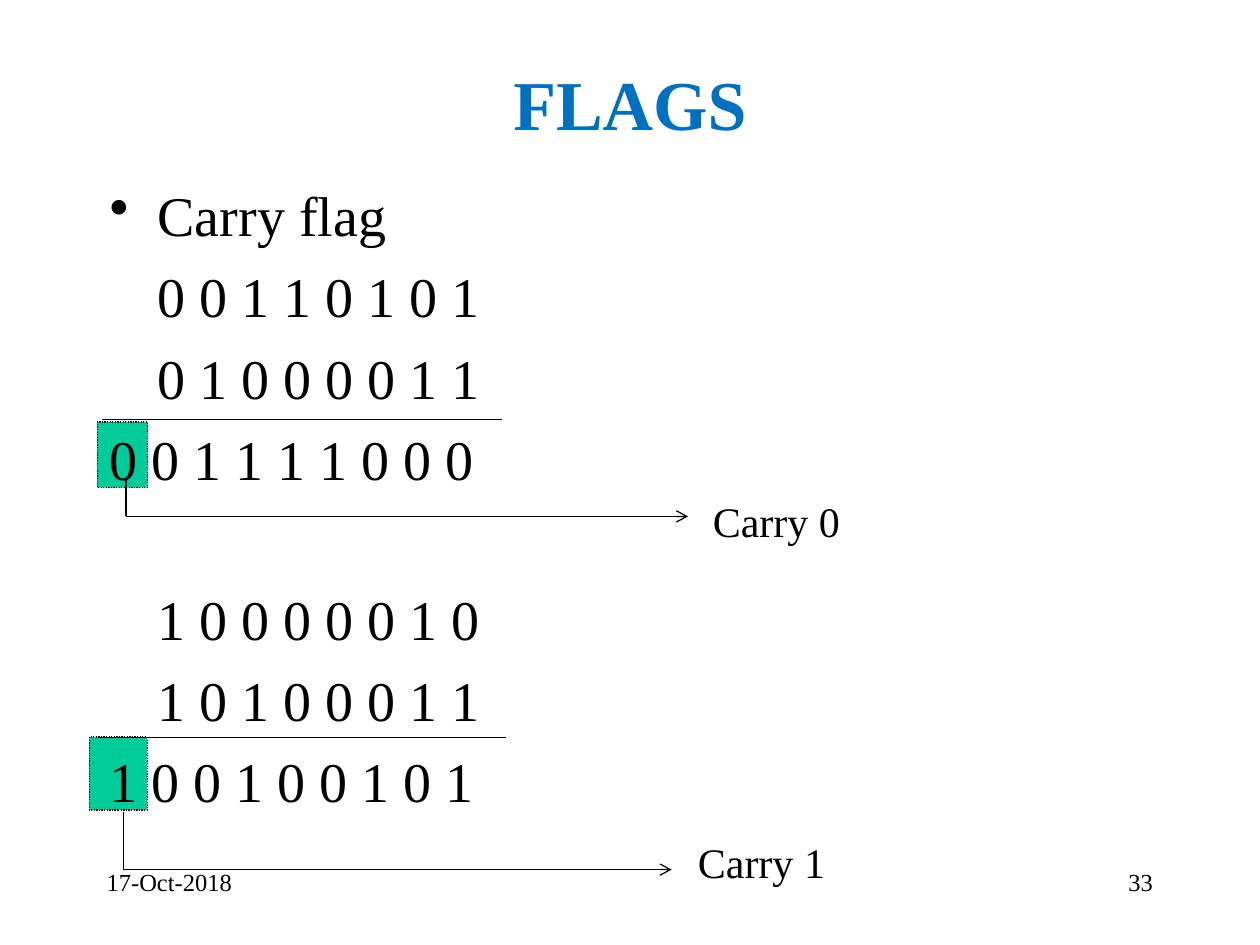
import pptx
import pptx.dml.color
import pptx.enum.dml
import pptx.enum.shapes
import pptx.enum.text
import pptx.oxml.ns
import pptx.util
from lxml import etree

Cm = pptx.util.Cm
Pt = pptx.util.Pt
RGBColor = pptx.dml.color.RGBColor
Align = pptx.enum.text.PP_ALIGN
Anchor = pptx.enum.text.MSO_ANCHOR
qn = pptx.oxml.ns.qn

BLACK = RGBColor(0x00, 0x00, 0x00)
BLUE = RGBColor(0x00, 0x70, 0xC0)
GREEN = RGBColor(0x00, 0xCC, 0x99)

HANGING = 0.97
ROW_GAP = 8
GROUP_GAP = 52.8


class SlideBuilder:
    font_format = {"name": "Times New Roman", "bold": False}

    def __init__(self, slide):
        self.slide = slide

    def set_line(self, line):
        line.color.rgb = BLACK
        line.width = Pt(0.75)

    def add_text(self, paragraph, text, size, color=BLACK, **font_changes):
        run = paragraph.add_run()
        run.text = text
        for name, value in {**self.font_format, "size": Pt(size), **font_changes}.items():
            setattr(run.font, name, value)
        run.font.color.rgb = color

    def text_frame(self, left, top, width, height, anchor=Anchor.TOP):
        box = self.slide.shapes.add_textbox(Cm(left), Cm(top), Cm(width), Cm(height))
        box.text_frame.word_wrap = True
        box.text_frame.vertical_anchor = anchor
        return box.text_frame

    def label(self, position, text, size, align=Align.LEFT, anchor=Anchor.TOP, **style):
        paragraph = self.text_frame(*position, anchor).paragraphs[0]
        paragraph.alignment = align
        self.add_text(paragraph, text, size, **style)

    def rows(self, position, rows):
        frame = self.text_frame(*position)
        for index, (text, margin, gap, bullet) in enumerate(rows):
            paragraph = frame.add_paragraph() if index else frame.paragraphs[0]
            paragraph.space_before = Pt(gap)
            properties = paragraph._p.get_or_add_pPr()
            properties.set("marL", str(Cm(margin)))
            properties.set("indent", str(Cm(-HANGING if bullet else 0)))
            if bullet:
                etree.SubElement(properties, qn("a:buChar")).set("char", "•")
            else:
                etree.SubElement(properties, qn("a:buNone"))
            self.add_text(paragraph, text, 32)

    def carry_box(self, left, top, width, height):
        shape = self.slide.shapes.add_shape(
            pptx.enum.shapes.MSO_SHAPE.RECTANGLE, Cm(left), Cm(top), Cm(width), Cm(height))
        shape.shadow.inherit = False
        shape.fill.solid()
        shape.fill.fore_color.rgb = GREEN
        self.set_line(shape.line)
        shape.line.dash_style = pptx.enum.dml.MSO_LINE.ROUND_DOT

    def line(self, start, end, arrow=False):
        connector = self.slide.shapes.add_connector(
            pptx.enum.shapes.MSO_CONNECTOR.STRAIGHT, *map(Cm, start + end))
        self.set_line(connector.line)
        properties = connector._element.spPr
        if arrow:
            outline = properties.find(qn("a:ln"))
            etree.SubElement(outline, qn("a:tailEnd")).set("type", "arrow")
        etree.SubElement(properties, qn("a:effectLst"))

    def carry_path(self, start, corner_y, end_x):
        corner = (start[0], corner_y)
        self.line(start, corner)
        self.line(corner, (end_x, corner_y), arrow=True)


def main():
    presentation = pptx.Presentation()
    presentation.slide_width = Cm(25.4)
    presentation.slide_height = Cm(19.05)
    builder = SlideBuilder(presentation.slides.add_slide(presentation.slide_layouts[6]))

    builder.carry_box(1.8, 14.86, 1.17, 1.47)
    builder.carry_box(1.96, 8.51, 1.02, 1.32)

    builder.label((1.9, 1.17, 21.6, 1.8), "FLAGS", 40, Align.CENTER, Anchor.MIDDLE,
                  color=BLUE, bold=True)
    builder.rows((1.96, 3.52, 22.6, 14.7), [
        ("Carry flag", HANGING, 0, True),
        ("0 0 1 1 0 1 0 1", HANGING, ROW_GAP, False),
        ("0 1 0 0 0 0 1 1", HANGING, ROW_GAP, False),
        ("0 0 1 1 1 1 0 0 0", 0, ROW_GAP, False),
        ("1 0 0 0 0 0 1 0", HANGING, GROUP_GAP, False),
        ("1 0 1 0 0 0 1 1", HANGING, ROW_GAP, False),
        ("1 0 0 1 0 0 1 0 1", 0, ROW_GAP, False),
    ])

    builder.line((2.06, 8.46), (10.11, 8.46))
    builder.line((2.01, 14.86), (10.21, 14.86))
    builder.carry_path((2.54, 9.68), 10.41, 13.87)
    builder.carry_path((2.49, 16.36), 17.53, 13.54)
    builder.label((14.12, 9.86, 3.56, 1.27), "Carry 0", 24)
    builder.label((13.82, 16.74, 3.18, 1.27), "Carry 1", 24)

    builder.label((1.9, 17.35, 5.28, 1.27), "17-Oct-2018", 14)
    builder.label((18.21, 17.35, 5.28, 1.27), "33", 14, Align.RIGHT)

    presentation.save("out.pptx")


if __name__ == "__main__":
    main()
